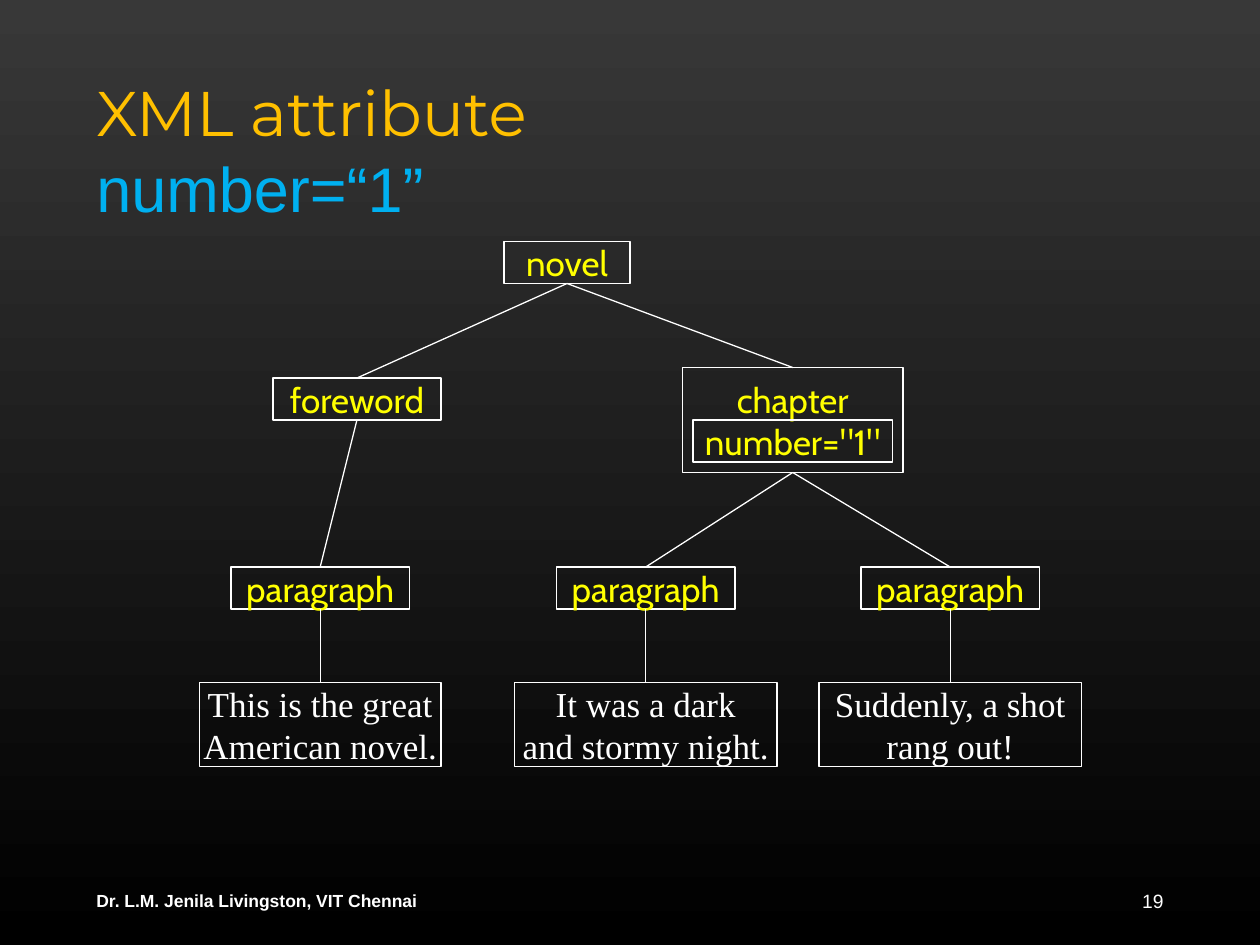
from lxml.etree import SubElement
from pptx import Presentation
from pptx.dml.color import RGBColor
from pptx.enum.shapes import MSO_CONNECTOR as Connector, MSO_SHAPE as Shape
from pptx.enum.text import MSO_ANCHOR as Anchor, PP_ALIGN as Align
from pptx.oxml.ns import qn
from pptx.util import Emu, Pt

PX = 9525
CHARCOAL = RGBColor(0x38, 0x38, 0x38)
BLACK = RGBColor(0x00, 0x00, 0x00)
WHITE = RGBColor(0xFF, 0xFF, 0xFF)
YELLOW = RGBColor(0xFF, 0xFF, 0x00)
GOLD = RGBColor(0xFF, 0xC0, 0x00)
BLUE = RGBColor(0x00, 0xB0, 0xF0)

BOTTOM, TOP = 2, 0
LINE_HEIGHT = 32
ELEMENT_TOP, TEXT_TOP = 432, 520


def px(*lengths):
    return [Emu(length * PX) for length in lengths]


def paint_background(page):
    fill = page.background.fill
    fill.gradient()
    fill.gradient_angle = 270
    for stop, color in zip(fill.gradient_stops, (CHARCOAL, BLACK)):
        stop.color.rgb = color


def add_span(para, text, font, size, color, bold=False):
    span = para.add_run()
    span.text = text
    span.font.name = font
    span.font.size = Pt(size)
    span.font.color.rgb = color
    span.font.bold = bold


def add_text(page, place, spans, anchor=Anchor.MIDDLE, align=Align.LEFT):
    frame = page.shapes.add_textbox(*px(*place)).text_frame
    frame.word_wrap = True
    frame.vertical_anchor = anchor
    para = frame.paragraphs[0]
    para.alignment = align
    for index, span in enumerate(spans):
        if index:
            para.add_line_break()
        add_span(para, *span)


def add_node(page, center, top, width, height, lines=(), font="Cabin",
             color=YELLOW, shape=Shape.RECTANGLE):
    box = page.shapes.add_shape(shape, *px(center - width // 2, top, width, height))
    box.shadow.inherit = False
    box.fill.background()
    box.line.color.rgb = WHITE
    box.line.width = Pt(0.75)
    frame = box.text_frame
    frame.word_wrap = False
    frame.vertical_anchor = Anchor.MIDDLE
    para = frame.paragraphs[0]
    para.alignment = Align.CENTER
    for index, line in enumerate(lines):
        if index:
            para.add_line_break()
        add_span(para, line, font, 20, color)
    return box


def link(page, parent, child):
    edge = page.shapes.add_connector(Connector.STRAIGHT, 0, 0, 0, 0)
    edge.begin_connect(parent, BOTTOM)
    edge.end_connect(child, TOP)
    edge.line.color.rgb = WHITE
    edge.line.width = Pt(0.75)
    SubElement(edge._element.spPr, qn("a:effectLst"))


def add_paragraph_branch(page, parent, center, width, lines):
    element = add_node(page, center, ELEMENT_TOP, 136, LINE_HEIGHT, ["paragraph"])
    content = add_node(page, center, TEXT_TOP, width, 2 * LINE_HEIGHT, lines,
                       "Times New Roman", WHITE)
    link(page, parent, element)
    link(page, element, content)


def add_tree(page):
    novel = add_node(page, 432, 184, 96, LINE_HEIGHT, ["novel"],
                     shape=Shape.FLOWCHART_PROCESS)
    foreword = add_node(page, 272, 288, 128, LINE_HEIGHT, ["foreword"])
    chapter = add_node(page, 604, 280, 168, 80, ["chapter", 'number="1"'])
    add_node(page, 604, 320, 152, LINE_HEIGHT)
    for child in (foreword, chapter):
        link(page, novel, child)
    branches = [
        (foreword, 244, 184, ["This is the great", "American novel."]),
        (chapter, 492, 200, ["It was a dark", "and stormy night."]),
        (chapter, 724, 200, ["Suddenly, a shot", "rang out!"]),
    ]
    for branch in branches:
        add_paragraph_branch(page, *branch)


def main():
    deck = Presentation()
    deck.slide_width, deck.slide_height = px(960, 720)
    page = deck.slides.add_slide(deck.slide_layouts[6])
    paint_background(page)
    add_text(page, (64, 56, 832, 120), [
        ("XML attribute", "Montserrat", 36, GOLD),
        ("number=“1”", "Arial", 36, BLUE),
    ], anchor=Anchor.BOTTOM)
    add_tree(page)
    add_text(page, (64, 667, 368, 38), [
        ("Dr. L.M. Jenila Livingston, VIT Chennai", "Arial", 10, WHITE, True),
    ])
    add_text(page, (792, 667, 104, 38), [("19", "Arial", 11, WHITE)],
             align=Align.RIGHT)
    deck.save("out.pptx")


if __name__ == "__main__":
    main()
